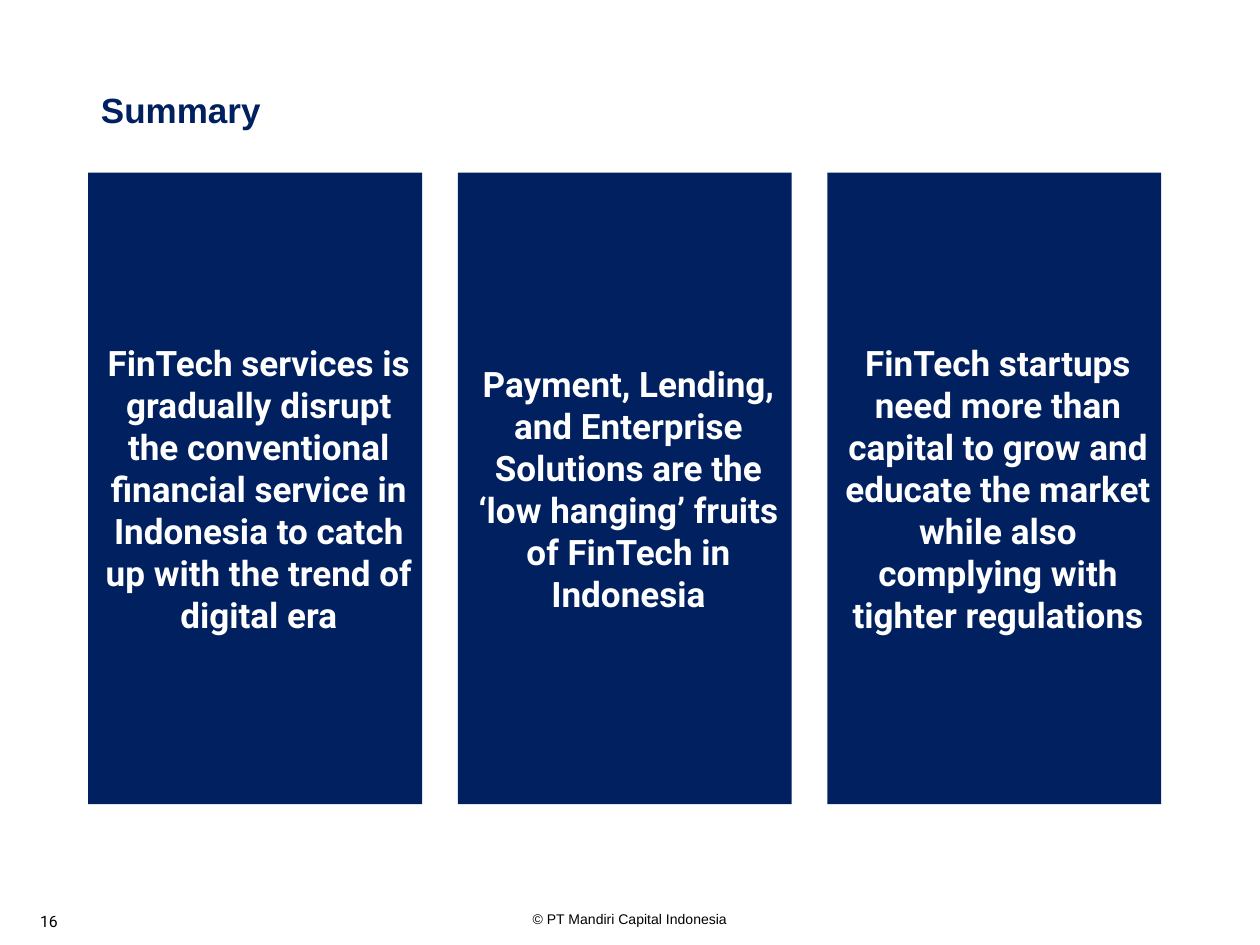
"""Build the summary slide with three key messages side by side."""
from pptx import Presentation
from pptx.dml.color import RGBColor
from pptx.enum.shapes import MSO_SHAPE
from pptx.enum.text import MSO_ANCHOR, MSO_AUTO_SIZE, PP_ALIGN
from pptx.util import Cm, Pt

COLORS = {"navy": "002060", "white": "FFFFFF", "black": "000000"}
MESSAGES = [
    "FinTech services is gradually disrupt the conventional financial service "
    "in Indonesia to catch up with the trend of digital era",
    "Payment, Lending, and Enterprise Solutions are the ‘low hanging’ fruits "
    "of FinTech in Indonesia",
    "FinTech startups need more than capital to grow and educate the market "
    "while also complying with tighter regulations",
]


def write(frame, text, font_name, size, color, bold=False, align=PP_ALIGN.LEFT):
    frame.text = text
    frame.word_wrap = True
    frame.auto_size = MSO_AUTO_SIZE.NONE
    paragraph = frame.paragraphs[0]
    paragraph.alignment = align
    paragraph.font.name = font_name
    paragraph.font.size = Pt(size)
    paragraph.font.bold = bold
    paragraph.font.color.rgb = RGBColor.from_string(COLORS[color])
    return paragraph


def set_margins(frame, margin):
    frame.margin_left = frame.margin_right = margin
    frame.margin_top = frame.margin_bottom = margin


prs = Presentation()
prs.slide_width, prs.slide_height = Cm(25.4), Cm(19.05)
slide = prs.slides.add_slide(prs.slide_layouts[5])

copyright_line = slide.shapes.add_textbox(Cm(9.73), Cm(18.34), Cm(5.94), Cm(0.36)).text_frame
write(copyright_line, "© PT Mandiri Capital Indonesia", "Arial", 8, "black", align=PP_ALIGN.CENTER)
set_margins(copyright_line, 0)
copyright_line.vertical_anchor = MSO_ANCHOR.MIDDLE

page_number = slide.shapes.add_textbox(Cm(0.56), Cm(18.26), Cm(5.92), Cm(0.76)).text_frame
write(page_number, "16", "Roboto", 9, "black")

title = slide.shapes.title
title.left, title.top, title.width, title.height = Cm(1.78), Cm(1.75), Cm(23.62), Cm(1.07)
heading = write(title.text_frame, "Summary", "Arial", 20, "navy", bold=True)
heading.line_spacing = 0.9
title.text_frame.vertical_anchor = MSO_ANCHOR.TOP

panel_left, panel_pitch = 1.78, 7.45
for column, message in enumerate(MESSAGES):
    panel = slide.shapes.add_shape(
        MSO_SHAPE.RECTANGLE, Cm(panel_left + column * panel_pitch), Cm(3.48), Cm(6.73), Cm(12.73))
    panel.shadow.inherit = False
    panel.fill.solid()
    panel.fill.fore_color.rgb = RGBColor.from_string(COLORS["navy"])
    panel.line.fill.background()
    statement = write(panel.text_frame, message, "Roboto", 20, "white", bold=True, align=PP_ALIGN.CENTER)
    statement._p.get_or_add_pPr().set("marL", str(Cm(0.15)))
    set_margins(panel.text_frame, Cm(0.1))
    panel.text_frame.vertical_anchor = MSO_ANCHOR.MIDDLE

prs.save("out.pptx")
